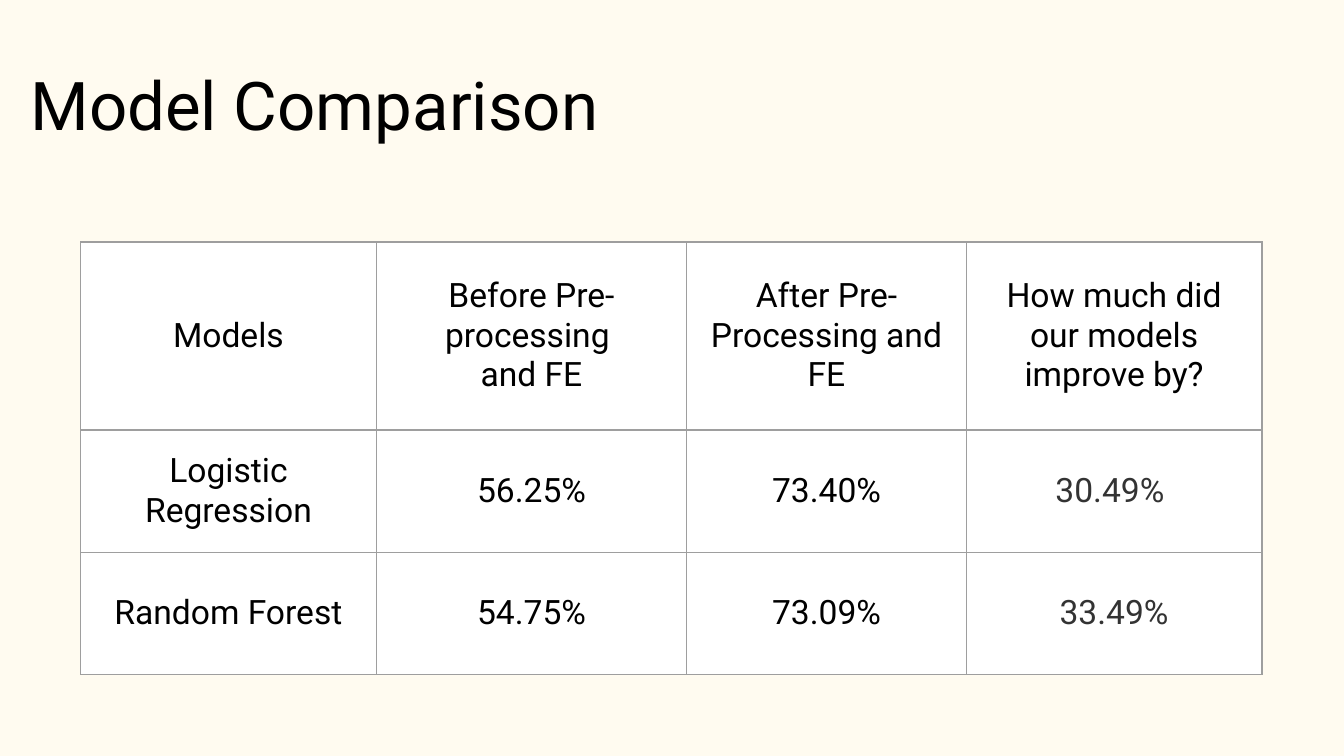
"""Build the model comparison slide with its results table."""
from lxml import etree
from pptx import Presentation
from pptx import util as u
from pptx.dml.color import RGBColor
from pptx.enum import text
from pptx.oxml.ns import qn


def paint(fill, color):
    fill.solid()
    fill.fore_color.rgb = RGBColor.from_string(color)


def write(para, words, size, color):
    run = para.add_run()
    run.text = words
    run.font.name = "Roboto"
    run.font.size = u.Pt(size)
    paint(run.font.fill, color)


deck = Presentation()
deck.slide_width = u.Inches(10)
deck.slide_height = u.Inches(10 * 9 / 16)
slide = deck.slides.add_slide(deck.slide_layouts[6])
paint(slide.background.fill, "FFFBF0")

title = slide.shapes.add_textbox(
    u.Inches(0.13), u.Inches(0.37), u.Inches(7.6), u.Inches(0.88)).text_frame
title.word_wrap = True
title.vertical_anchor = text.MSO_ANCHOR.TOP
title.margin_left = title.margin_right = u.Inches(0.1)
title.margin_top = title.margin_bottom = u.Inches(0.1)
write(title.paragraphs[0], "Model Comparison", 36, "000000")

rows = [
    ["Models", "Before Pre-processing \nand FE", "After Pre-Processing and FE",
     "How much did our models improve by?"],
    ["Logistic Regression", "56.25%", "73.40%", "30.49% "],
    ["Random Forest", "54.75%", "73.09%", "33.49%"],
]
widths = [2.2, 2.31, 2.08, 2.2]
heights = [1.4, 0.91, 0.91]
table = slide.shapes.add_table(
    len(rows), len(widths), u.Inches(0.6), u.Inches(1.8),
    u.Inches(sum(widths)), u.Inches(sum(heights))).table
table.first_row = table.horz_banding = False
for col, width in zip(table.columns, widths):
    col.width = u.Inches(width)
for row, height in zip(table.rows, heights):
    row.height = u.Inches(height)

for r, row in enumerate(rows):
    for c, words in enumerate(row):
        cell = table.cell(r, c)
        cell.vertical_anchor = text.MSO_ANCHOR.MIDDLE
        cell.margin_left = cell.margin_right = u.Inches(0.1)
        cell.margin_top = cell.margin_bottom = u.Inches(0.1)
        color = "333333" if r > 0 and c == 3 else "000000"
        frame = cell.text_frame
        for i, line in enumerate(words.split("\n")):
            para = frame.add_paragraph() if i else frame.paragraphs[0]
            para.alignment = text.PP_ALIGN.CENTER
            write(para, line, 18, color)
        props = cell._tc.get_or_add_tcPr()
        for side in ("lnL", "lnR", "lnT", "lnB"):
            edge = etree.SubElement(props, qn(f"a:{side}"), w=str(u.Pt(0.75)))
            solid = etree.SubElement(edge, qn("a:solidFill"))
            etree.SubElement(solid, qn("a:srgbClr"), val="9E9E9E")
        paint(cell.fill, "FFFFFF")

deck.save("out.pptx")
